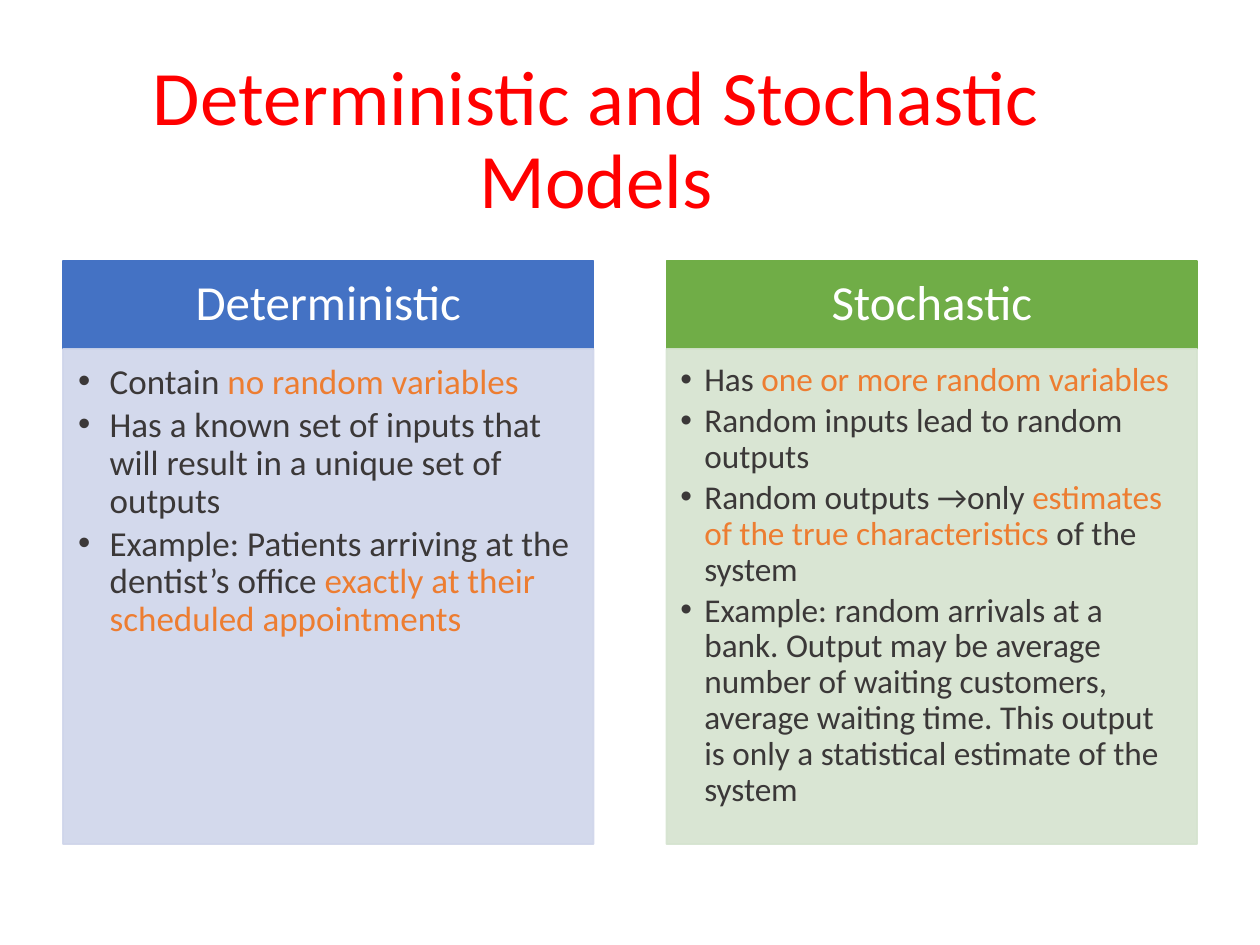
import dataclasses

import pptx
import pptx.dml.color
import pptx.enum.shapes
import pptx.enum.text
import pptx.oxml.ns
import pptx.util
from lxml import etree

Inches = pptx.util.Inches
Pt = pptx.util.Pt
Align = pptx.enum.text.PP_ALIGN
Anchor = pptx.enum.text.MSO_ANCHOR
qn = pptx.oxml.ns.qn


@dataclasses.dataclass(frozen=True)
class Theme:
    font: str = "Calibri"
    title: str = "FF0000"
    heading: str = "FFFFFF"
    body: str = "3B3838"
    accent: str = "ED7D31"
    title_size: int = 44
    heading_size: int = 28


@dataclasses.dataclass(frozen=True)
class Model:
    name: str
    color: str
    tint: str
    size: int
    indent: float
    margins: tuple
    points: tuple  # each point alternates plain and accented wording


THEME = Theme()
COLUMN_LEFT, COLUMN_WIDTH, COLUMN_STEP = 0.5, 4.21, 4.79
HEADING_TOP, HEADING_HEIGHT, BODY_HEIGHT = 2.07, 0.7, 3.93

MODELS = (
    Model("Deterministic", "4472C4", "CFD5EA", 20, 0.25, (0.12, 0.12, 0.16, 0.17), (
        ("Contain ", "no random variables"),
        ("Has a known set of inputs that will result in a unique set of outputs",),
        ("Example: Patients arriving at the dentist’s office ",
         "exactly at their scheduled appointments"),
    )),
    Model("Stochastic", "70AD47", "D5E3CF", 19, 0.19, (0.11, 0.11, 0.15, 0.17), (
        ("Has ", "one or more random variables"),
        ("Random inputs lead to random outputs",),
        ("Random outputs →only ", "estimates of the true characteristics",
         " of the system"),
        ("Example: random arrivals at a bank. Output may be average number of "
         "waiting customers, average waiting time. This output is only a "
         "statistical estimate of the system",),
    )),
)


def rgb(value):
    return pptx.dml.color.RGBColor.from_string(value)


def add_run(paragraph, text, size, color):
    run = paragraph.add_run()
    run.text = text
    run.font.name = THEME.font
    run.font.size = Pt(size)
    run.font.color.rgb = rgb(color)


def set_frame(frame, margins, anchor):
    frame.word_wrap = True
    frame.auto_size = pptx.enum.text.MSO_AUTO_SIZE.NONE
    frame.vertical_anchor = anchor
    (frame.margin_left, frame.margin_top,
     frame.margin_right, frame.margin_bottom) = map(Inches, margins)


def set_opacity(fill_parent, percent):
    """Make every colour under the shape's properties partly transparent."""
    for color in fill_parent.iter(qn("a:srgbClr")):
        etree.SubElement(color, qn("a:alpha"), val=str(percent * 1000))


def add_panel(slide, left, top, height, color, margins, anchor):
    panel = slide.shapes.add_shape(
        pptx.enum.shapes.MSO_SHAPE.RECTANGLE,
        Inches(left), Inches(top), Inches(COLUMN_WIDTH), Inches(height))
    panel.shadow.inherit = False
    panel.fill.solid()
    panel.fill.fore_color.rgb = rgb(color)
    panel.line.color.rgb = rgb(color)
    panel.line.width = Pt(1)
    set_frame(panel.text_frame, margins, anchor)
    return panel


def set_bullet(paragraph, indent):
    properties = paragraph._p.get_or_add_pPr()
    properties.set("marL", str(Inches(indent)))
    properties.set("indent", str(-Inches(indent)))
    etree.SubElement(properties, qn("a:buFont"), typeface="Arial")
    etree.SubElement(properties, qn("a:buChar"), char="•")


def add_title(slide, text):
    title = slide.shapes.title
    title.left, title.top = Inches(0.42), Inches(0.67)
    title.width, title.height = Inches(8.62), Inches(0.92)
    set_frame(title.text_frame, (0.1, 0.05, 0.1, 0.05), Anchor.MIDDLE)
    paragraph = title.text_frame.paragraphs[0]
    paragraph.alignment = Align.CENTER
    paragraph.line_spacing = 0.9
    add_run(paragraph, text, THEME.title_size, THEME.title)


def add_heading(slide, model, left):
    heading = add_panel(slide, left, HEADING_TOP, HEADING_HEIGHT, model.color,
                        (0.22, 0.12, 0.22, 0.12), Anchor.MIDDLE)
    paragraph = heading.text_frame.paragraphs[0]
    paragraph.alignment = Align.CENTER
    paragraph.line_spacing = 0.9
    add_run(paragraph, model.name, THEME.heading_size, THEME.heading)


def add_points(slide, model, left):
    body = add_panel(slide, left, HEADING_TOP + HEADING_HEIGHT, BODY_HEIGHT,
                     model.tint, model.margins, Anchor.TOP)
    set_opacity(body._element.spPr, 90)
    frame = body.text_frame
    for number, point in enumerate(model.points):
        paragraph = frame.add_paragraph() if number else frame.paragraphs[0]
        paragraph.level = 1
        paragraph.alignment = Align.LEFT
        paragraph.line_spacing = 0.9
        paragraph.space_after = Pt(0.15 * model.size)
        set_bullet(paragraph, model.indent)
        for position, wording in enumerate(point):
            color = THEME.accent if position % 2 else THEME.body
            add_run(paragraph, wording, model.size, color)


def main():
    deck = pptx.Presentation()
    deck.slide_width, deck.slide_height = Inches(10), Inches(7.5)
    slide = deck.slides.add_slide(deck.slide_layouts[5])

    # Title
    add_title(slide, "Deterministic and Stochastic Models")

    # One column per kind of model
    for column, model in enumerate(MODELS):
        left = COLUMN_LEFT + column * COLUMN_STEP
        add_heading(slide, model, left)
        add_points(slide, model, left)

    deck.save("out.pptx")


if __name__ == "__main__":
    main()
